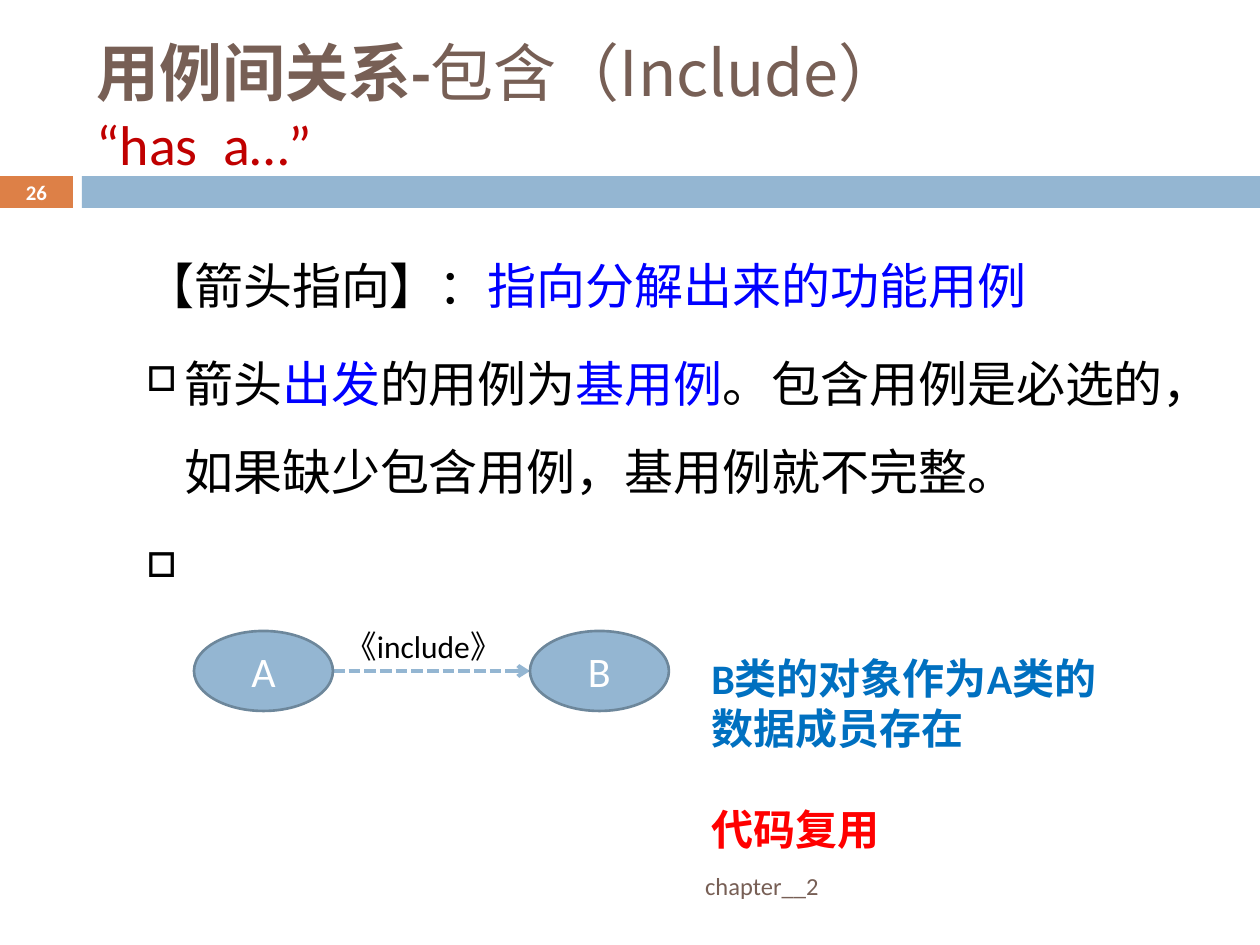
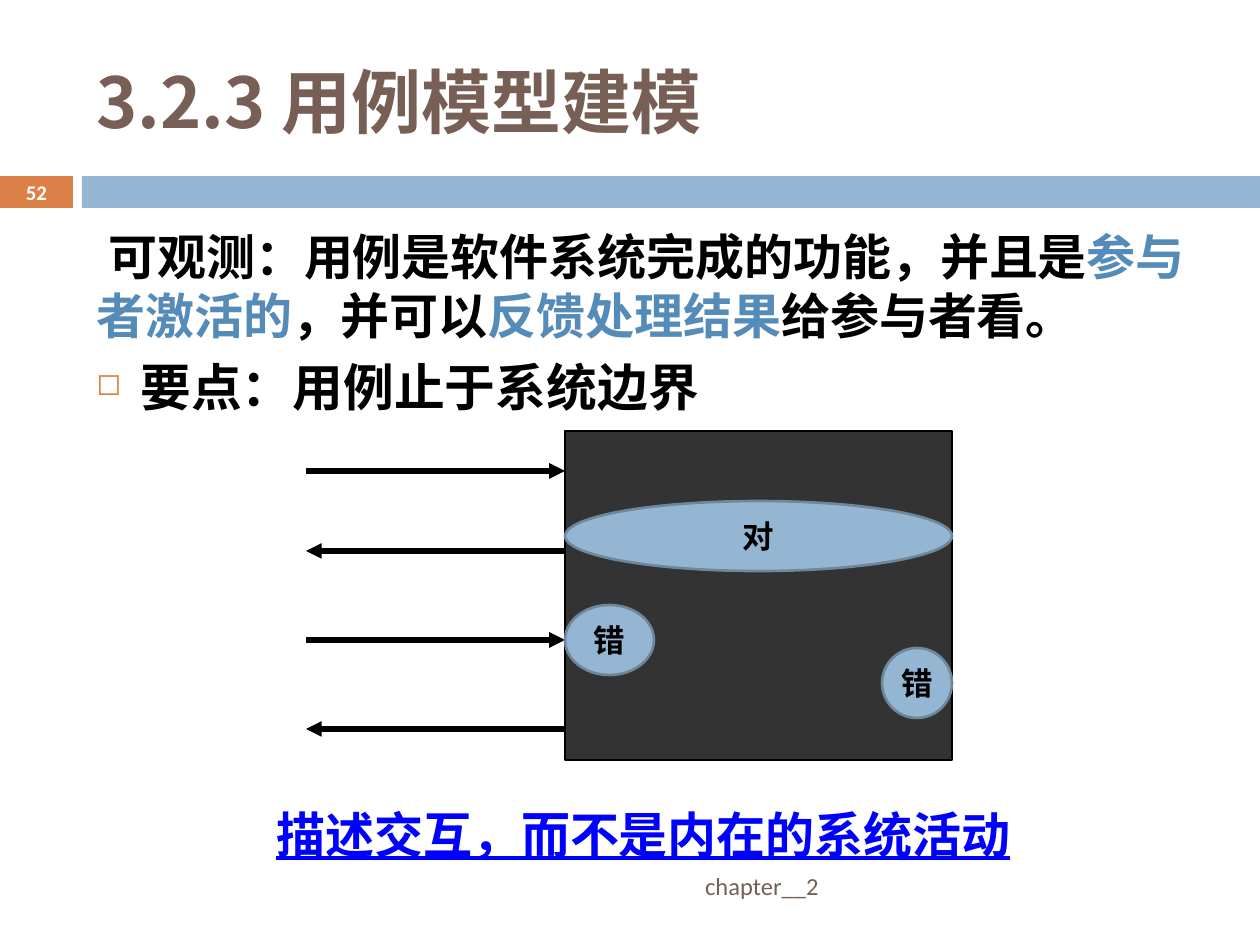
from dataclasses import dataclass

from pptx import Presentation
from pptx.dml.color import RGBColor
from pptx.enum.dml import MSO_LINE
from pptx.enum.shapes import MSO_CONNECTOR, MSO_SHAPE
from pptx.enum.text import MSO_ANCHOR, PP_ALIGN
from pptx.oxml.ns import qn
from pptx.util import Emu, Pt
from lxml import etree

RECTANGLE, ELLIPSE = MSO_SHAPE.RECTANGLE, MSO_SHAPE.OVAL
STRAIGHT = MSO_CONNECTOR.STRAIGHT
SHORT_DASH = MSO_LINE.SQUARE_DOT
TOP, MIDDLE = MSO_ANCHOR.TOP, MSO_ANCHOR.MIDDLE
LEFT, CENTER, RIGHT = PP_ALIGN.LEFT, PP_ALIGN.CENTER, PP_ALIGN.RIGHT
EMU_PER_PX = 914400 / 126
BLANK_LAYOUT = 6


@dataclass(frozen=True)
class Theme:
    font: str = "Calibri"
    wide_font: str = "Noto Sans CJK SC"
    title: str = "775F55"
    accent: str = "DD8047"
    band: str = "94B6D2"
    outline: str = "6D879B"
    emphasis: str = "0000FF"
    soft_blue: str = "558BB8"
    note_blue: str = "0070C0"
    dark_red: str = "C00000"
    red: str = "FF0000"
    system: str = "333333"
    black: str = "000000"
    white: str = "FFFFFF"
    title_size: float = 40
    long_title_size: float = 36
    subtitle_size: float = 32
    body_size: float = 28
    point_size: float = 29
    note_size: float = 24
    label_size: float = 18
    footer_size: float = 14
    number_size: float = 11.9


def px(length):
    return Emu(round(length * EMU_PER_PX))


def add_child(parent, tag, **attributes):
    return etree.SubElement(parent, qn(tag), attributes)


class SlideWriter:
    def __init__(self, deck, theme):
        self.deck = deck
        self.theme = theme
        self.page = None

    def start_page(self, number):
        theme = self.theme
        self.page = self.deck.slides.add_slide(self.deck.slide_layouts[BLANK_LAYOUT])
        self.shape(RECTANGLE, 0, 176, 73, 32, theme.accent)
        self.shape(RECTANGLE, 82, 176, 1178, 32, theme.band)
        footer = self.text_box(84, 861, 747, 50, MIDDLE)
        self.para(footer, "chapter__2", theme.footer_size, theme.title, align=RIGHT)
        marker = self.text_box(0, 175, 73, 34, MIDDLE)
        self.para(marker, str(number), theme.number_size, theme.white, bold=True, align=CENTER)

    def text_box(self, left, top, width, height, anchor=TOP, bottom_inset=6):
        box = self.page.shapes.add_textbox(px(left), px(top), px(width), px(height))
        frame = box.text_frame
        frame.word_wrap = True
        frame.vertical_anchor = anchor
        frame.margin_bottom = px(bottom_inset)
        return frame

    def set_font(self, font, name):
        font.name = name
        add_child(font._element, "a:ea", typeface=self.theme.font)

    def para(self, frame, spans, size, color, bold=False, align=LEFT, font=None,
             underline=False, line_spacing=None, before=0, margin=0, indent=0, bullet=None):
        first = frame.paragraphs[0]
        para = frame.add_paragraph() if first.runs else first
        para.alignment = align
        para.space_before = Pt(before)
        if line_spacing:
            para.line_spacing = line_spacing
        properties = para._p.get_or_add_pPr()
        properties.set("marL", str(px(margin)))
        properties.set("indent", str(px(indent)))
        if bullet:
            symbol, bullet_color, percent = bullet
            add_child(add_child(properties, "a:buClr"), "a:srgbClr", val=bullet_color)
            add_child(properties, "a:buSzPct", val=str(percent * 1000))
            add_child(properties, "a:buChar", char=symbol)
        para.font.size = Pt(size)
        para.font.bold = bold
        para.font.underline = underline
        para.font.color.rgb = RGBColor.from_string(color)
        self.set_font(para.font, font or self.theme.font)
        for part in [spans] if isinstance(spans, str) else spans:
            text, changes = (part, {}) if isinstance(part, str) else part
            span = para.add_run()
            span.text = text
            if "color" in changes:
                span.font.color.rgb = RGBColor.from_string(changes["color"])
            if "bold" in changes:
                span.font.bold = changes["bold"]
            if "font" in changes:
                self.set_font(span.font, changes["font"])

    def shape(self, kind, left, top, width, height, fill, line=None, line_width=1):
        shape = self.page.shapes.add_shape(kind, px(left), px(top), px(width), px(height))
        shape.shadow.inherit = False
        shape.fill.solid()
        shape.fill.fore_color.rgb = RGBColor.from_string(fill)
        if line:
            shape.line.color.rgb = RGBColor.from_string(line)
            shape.line.width = Pt(line_width)
        else:
            shape.line.fill.background()
        return shape

    def use_case(self, label, left, top, width, height, size, color, bold=False):
        theme = self.theme
        oval = self.shape(ELLIPSE, left, top, width, height, theme.band, theme.outline, 1.5)
        oval.text_frame.word_wrap = False
        oval.text_frame.vertical_anchor = MIDDLE
        self.para(oval.text_frame, label, size, color, bold=bold, align=CENTER)

    def arrow(self, start, end, y, color, width, head="triangle", dash=None):
        arrow = self.page.shapes.add_connector(STRAIGHT, px(start), px(y), px(end), px(y))
        arrow.line.color.rgb = RGBColor.from_string(color)
        arrow.line.width = Pt(width)
        if dash:
            arrow.line.dash_style = dash
        properties = arrow._element.spPr
        add_child(properties.find(qn("a:ln")), "a:tailEnd", type=head)
        add_child(properties, "a:effectLst")


def build_include_page(writer):
    theme = writer.theme
    writer.start_page(26)
    title = writer.text_box(84, 78, 1124, 136, MIDDLE, bottom_inset=88)
    writer.para(title, [("用例间关系-", {"bold": True}),
                        ("包含（Include）", {"font": theme.wide_font})],
                theme.long_title_size, theme.title)
    writer.para(title, "“has  a…”", theme.subtitle_size, theme.dark_red)

    blue = {"color": theme.emphasis}
    point = dict(size=theme.body_size, color=theme.black, line_spacing=1.5, before=5.5,
                 margin=88, indent=-38, bullet=("□", theme.black, 70))
    body = writer.text_box(84, 220, 1124, 411)
    writer.para(body, ["【箭头指向】：", ("指向分解出来的功能用例", blue)],
                theme.body_size, theme.black, line_spacing=1.5, before=7, indent=49)
    writer.para(body, ["箭头", ("出发", blue), "的用例为", ("基用例", blue),
                       "。包含用例是必选的，如果缺少包含用例，基用例就不完整。"], **point)
    writer.para(body, " ", **point)

    writer.arrow(333, 530, 671, theme.band, 2.25, "arrow", SHORT_DASH)
    for label, left in (("A", 194), ("B", 530)):
        writer.use_case(label, left, 631, 139, 80, theme.note_size, theme.white)
    relation = writer.text_box(333, 621, 198, 50)
    writer.para(relation, "《include》", theme.label_size, theme.black)

    note = writer.text_box(699, 646, 436, 217)
    writer.para(note, "B类的对象作为A类的数据成员存在", theme.note_size, theme.note_blue, bold=True)
    writer.para(note, "代码复用", theme.note_size, theme.red, bold=True, before=29)


def build_boundary_page(writer):
    theme = writer.theme
    writer.start_page(52)
    title = writer.text_box(84, 32, 1124, 136, MIDDLE)
    writer.para(title, "3.2.3 用例模型建模", theme.title_size, theme.title,
                bold=True, font=theme.wide_font)

    blue = {"color": theme.soft_blue}
    body = writer.text_box(84, 220, 1124, 203)
    writer.para(body, ["可观测：用例是软件系统完成的功能，并且是", ("参与者激活的", blue),
                       "，并可以", ("反馈处理结果", blue), "给参与者看。"],
                theme.body_size, theme.black, bold=True, before=7, indent=12)
    writer.para(body, "要点：用例止于系统边界", theme.point_size, theme.black, bold=True,
                before=7, margin=44, indent=-44, bullet=("◻", theme.accent, 60))

    summary = writer.text_box(78, 798, 1131, 72)
    writer.para(summary, "描述交互，而不是内在的系统活动", theme.body_size, theme.emphasis,
                bold=True, underline=True, align=CENTER)

    actor, boundary = 306, 565
    writer.shape(RECTANGLE, boundary, 431, 387, 329, theme.system, theme.black)
    for index, y in enumerate((471, 551, 640, 729)):
        start, end = (boundary, actor) if index % 2 else (actor, boundary)
        writer.arrow(start, end, y, theme.black, 3)
    for label, left, top, width in (("对", boundary, 501, 387),
                                    ("错", boundary, 605, 89),
                                    ("错", 882, 648, 70)):
        writer.use_case(label, left, top, width, 70, theme.label_size, theme.black, bold=True)


def main():
    deck = Presentation()
    deck.slide_width, deck.slide_height = px(1260), px(945)
    writer = SlideWriter(deck, Theme())
    build_include_page(writer)
    build_boundary_page(writer)
    deck.save("out.pptx")


if __name__ == "__main__":
    main()
